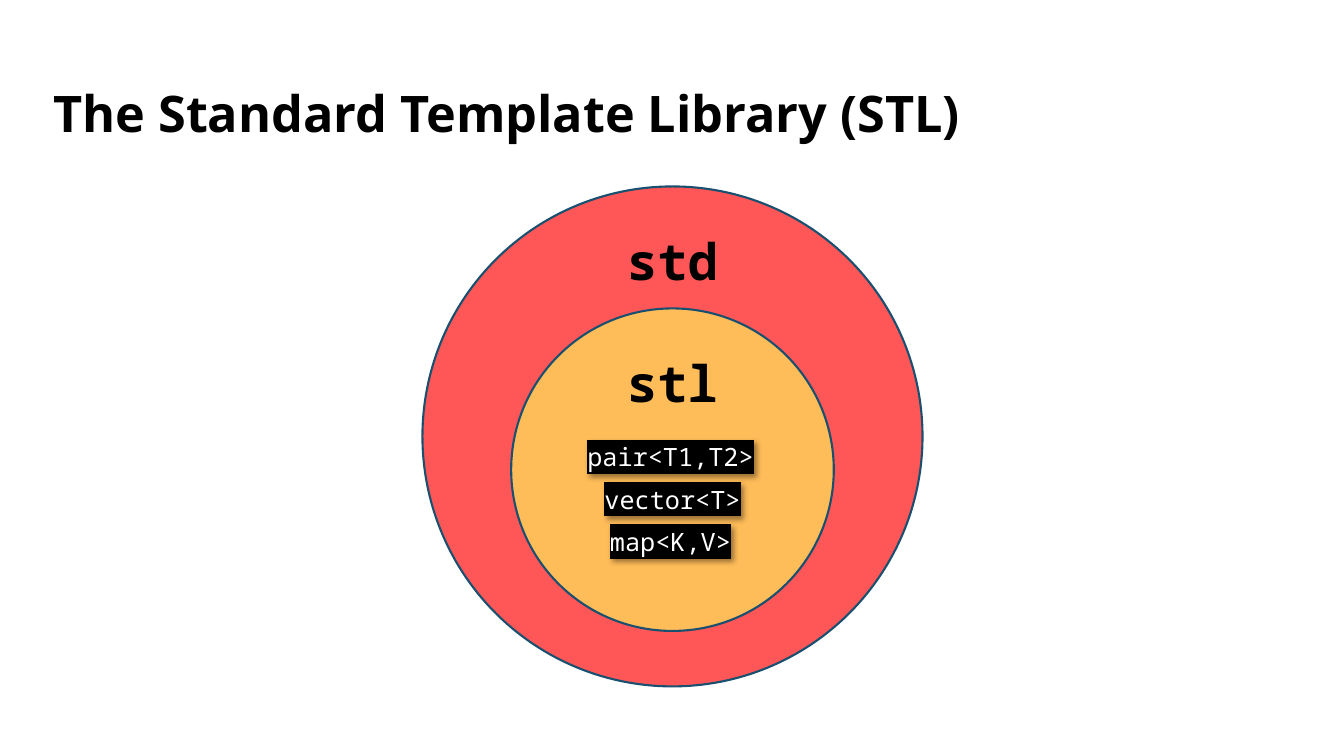
from lxml import etree
from pptx import Presentation
from pptx.dml.color import RGBColor
from pptx.enum.shapes import MSO_SHAPE as Shape
from pptx.enum.text import MSO_ANCHOR as Anchor, PP_ALIGN as Align
from pptx.oxml import parse_xml
from pptx.oxml.ns import nsdecls, qn
from pptx.util import Inches, Pt

BLACK = RGBColor(0x00, 0x00, 0x00)
WHITE = RGBColor(0xFF, 0xFF, 0xFF)
RED = RGBColor(0xFF, 0x57, 0x57)
ORANGE = RGBColor(0xFF, 0xBD, 0x59)
NAVY = RGBColor(0x19, 0x50, 0x70)
MONO = "Noto Sans Mono"

deck = Presentation()
deck.slide_width, deck.slide_height = Inches(13.33), Inches(7.5)
page = deck.slides.add_slide(deck.slide_layouts[6])


def add_text(text, left, top, width, height, font, size, color, bold, align):
    box = page.shapes.add_textbox(*map(Inches, (left, top, width, height)))
    frame = box.text_frame
    frame.word_wrap = True
    frame.vertical_anchor = Anchor.MIDDLE
    para = frame.paragraphs[0]
    para.alignment = align
    para.add_run().text = text
    para.font.name, para.font.size, para.font.bold = font, Pt(size), bold
    para.font.color.rgb = color
    return box


add_text("The Standard Template Library (STL)", 0.43, 0.69, 12.47, 0.84,
         "Open Sans", 36, BLACK, True, Align.LEFT)

# Nested namespaces, each named near the top of its circle
center = 6.67
for name, top, diameter, color in (("std", 1.85, 4.96, RED),
                                   ("stl", 3.06, 3.2, ORANGE)):
    circle = page.shapes.add_shape(
        Shape.OVAL, Inches(center - diameter / 2), Inches(top),
        Inches(diameter), Inches(diameter))
    circle.shadow.inherit = False
    circle.fill.solid()
    circle.fill.fore_color.rgb = color
    circle.line.color.rgb = NAVY
    circle.line.width = Pt(1.5)
    add_text(name, center - 1, top + 0.34, 2, 0.78,
             MONO, 36, BLACK, True, Align.CENTER)

# Class templates on black highlights with a soft shadow
SHADOW = (f'<a:effectLst {nsdecls("a")}><a:outerShdw blurRad="50800" '
          'dist="38100" dir="2700000" algn="tl" rotWithShape="0">'
          '<a:srgbClr val="000000"><a:alpha val="40000"/></a:srgbClr>'
          '</a:outerShdw></a:effectLst>')
for row, (name, left) in enumerate((("pair<T1,T2>", 5.62), ("vector<T>", 5.64),
                                    ("map<K,V>", 5.62))):
    box = add_text(name, left, 4.33 + 0.42 * row, 2.06, 0.4,
                   MONO, 18, WHITE, False, Align.CENTER)
    span = box.text_frame.paragraphs[0].runs[0]
    highlight = etree.SubElement(span.font._element, qn("a:highlight"))
    etree.SubElement(highlight, qn("a:srgbClr"), val=str(BLACK))
    box._element.spPr.append(parse_xml(SHADOW))

deck.save("out.pptx")
